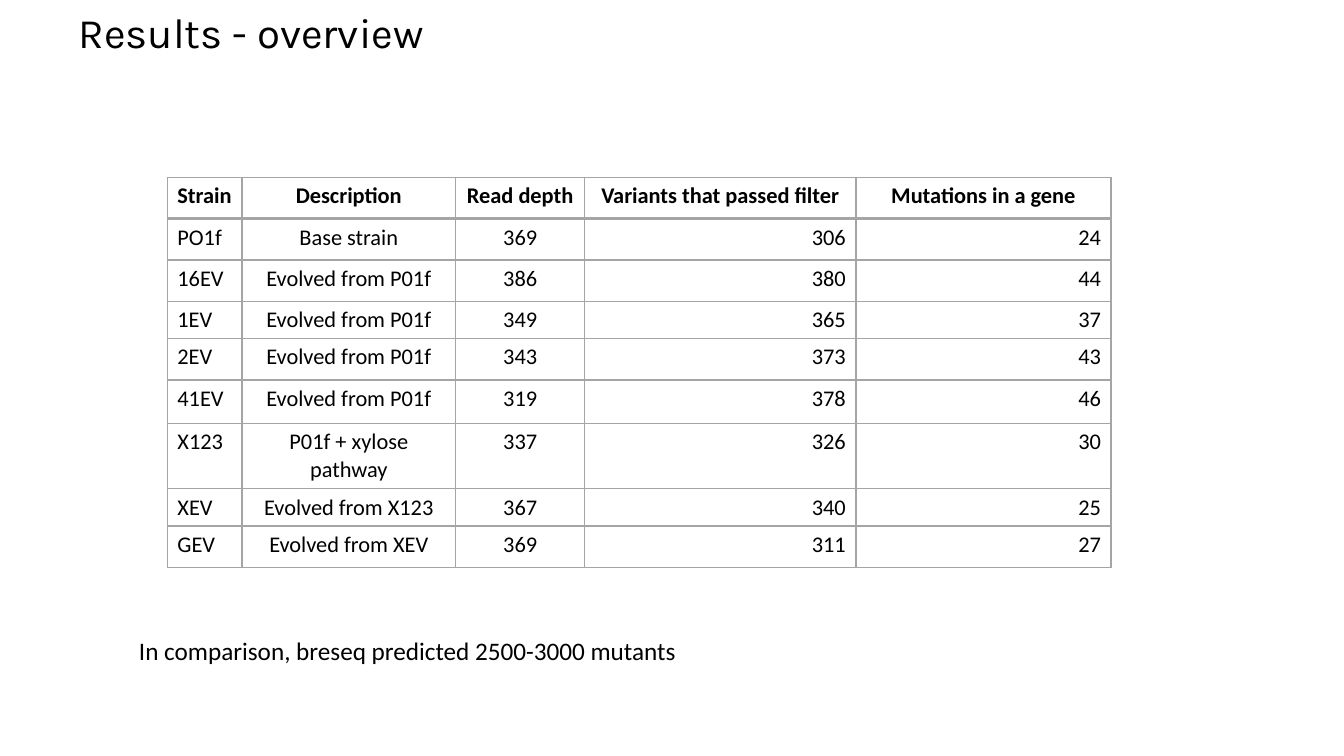
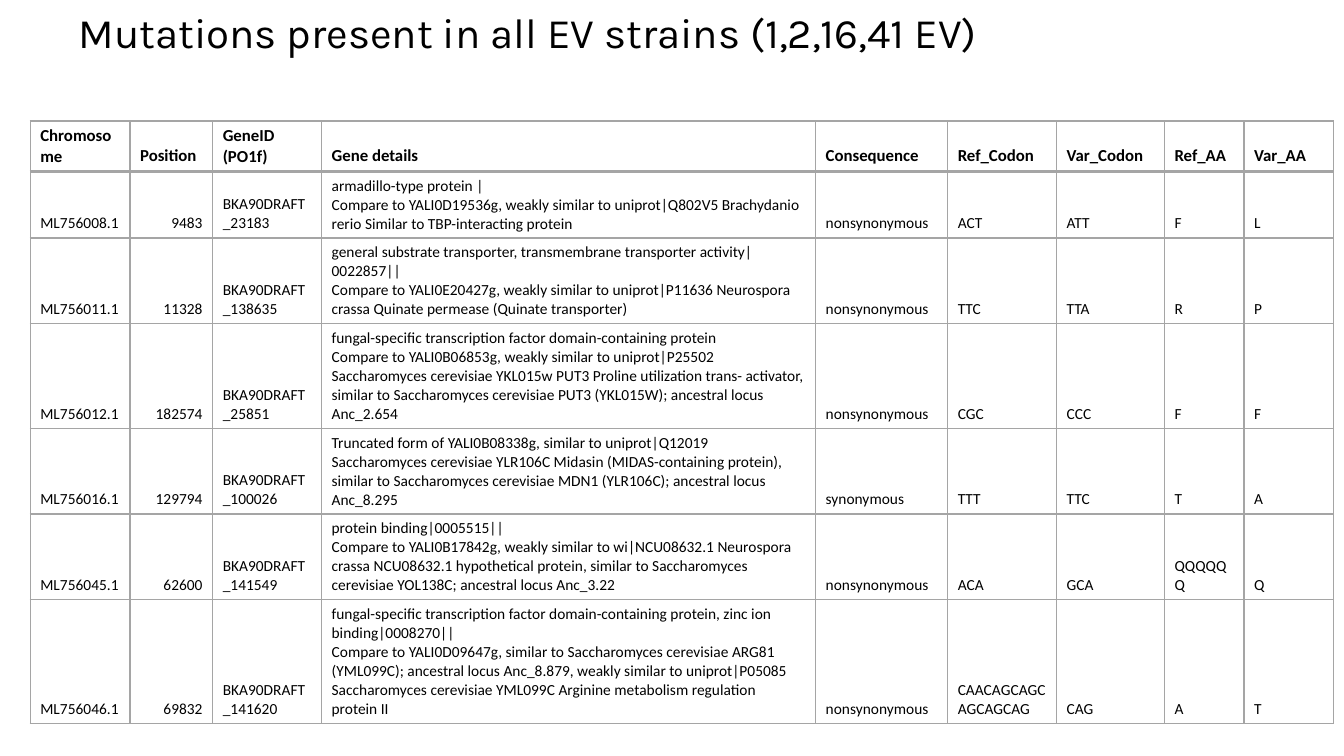
"""Build two slides of strain sequencing results, each with a titled table."""
from dataclasses import dataclass

from lxml import etree
from pptx import Presentation
from pptx import util as u
from pptx.dml.color import RGBColor
from pptx.enum import text
from pptx.oxml.ns import qn


@dataclass(frozen=True)
class Theme:
    ink: str = "000000"
    rule: str = "A5A5A5"
    title_font: str = "Karla"
    body_font: str = "Calibri"
    title_size: int = 30
    note_size: int = 18
    thin: int = 1
    thick: int = 2


THEME = Theme()
ALIGN = {"l": text.PP_ALIGN.LEFT, "c": text.PP_ALIGN.CENTER, "r": text.PP_ALIGN.RIGHT}
TOP, BOTTOM = text.MSO_ANCHOR.TOP, text.MSO_ANCHOR.BOTTOM

OVERVIEW = {
    "title": "Results - overview",
    "note": "In comparison, breseq predicted 2500-3000 mutants",
    "at": (1.66, 1.76),
    "columns": (0.74, 2.12, 1.28, 2.69, 2.53),
    "heights": (0.41, 0.41, 0.41, 0.37, 0.41, 0.43, 0.65, 0.37, 0.41),
    "header_align": "lcccc",
    "body_align": "lccrr",
    "header_size": 16,
    "body_size": 16,
    "anchor": TOP,
    "rows": [
        ("Strain", "Description", "Read depth", "Variants that passed filter",
         "Mutations in a gene"),
        ("PO1f", "Base strain", "369", "306", "24"),
        ("16EV", "Evolved from P01f", "386", "380", "44"),
        ("1EV", "Evolved from P01f", "349", "365", "37"),
        ("2EV", "Evolved from P01f", "343", "373", "43"),
        ("41EV", "Evolved from P01f", "319", "378", "46"),
        ("X123", "P01f + xylose pathway", "337", "326", "30"),
        ("XEV", "Evolved from X123", "367", "340", "25"),
        ("GEV", "Evolved from XEV", "369", "311", "27"),
    ],
}

MUTATIONS = {
    "title": "Mutations present in all EV strains (1,2,16,41 EV)",
    "note": None,
    "at": (0.3, 1.2),
    "columns": (0.99, 0.82, 1.08, 4.9, 1.31, 1.08, 1.07, 0.79, 0.89),
    "heights": (0.5, 0.66, 0.85, 1.04, 0.85, 0.85, 1.23),
    "header_align": "lllllllll",
    "body_align": "lrlllllll",
    "header_size": 12,
    "body_size": 11,
    "anchor": BOTTOM,
    "rows": [
        ("Chromosome", "Position", "GeneID (PO1f)", "Gene details", "Consequence",
         "Ref_Codon", "Var_Codon", "Ref_AA", "Var_AA"),
        ("ML756008.1", "9483", "BKA90DRAFT_23183",
         "armadillo-type protein |\n"
         "Compare to YALI0D19536g, weakly similar to uniprot|Q802V5 Brachydanio rerio "
         "Similar to TBP-interacting protein",
         "nonsynonymous", "ACT", "ATT", "F", "L"),
        ("ML756011.1", "11328", "BKA90DRAFT_138635",
         "general substrate transporter, transmembrane transporter activity|0022857||\n"
         "Compare to YALI0E20427g, weakly similar to uniprot|P11636 Neurospora crassa "
         "Quinate permease (Quinate transporter)",
         "nonsynonymous", "TTC", "TTA", "R", "P"),
        ("ML756012.1", "182574", "BKA90DRAFT_25851",
         "fungal-specific transcription factor domain-containing protein\n"
         "Compare to YALI0B06853g, weakly similar to uniprot|P25502 Saccharomyces "
         "cerevisiae YKL015w PUT3 Proline utilization trans- activator, similar to "
         "Saccharomyces cerevisiae PUT3 (YKL015W); ancestral locus Anc_2.654",
         "nonsynonymous", "CGC", "CCC", "F", "F"),
        ("ML756016.1", "129794", "BKA90DRAFT_100026",
         "Truncated form of YALI0B08338g, similar to uniprot|Q12019 Saccharomyces "
         "cerevisiae YLR106C Midasin (MIDAS-containing protein), similar to "
         "Saccharomyces cerevisiae MDN1 (YLR106C); ancestral locus Anc_8.295",
         "synonymous", "TTT", "TTC", "T", "A"),
        ("ML756045.1", "62600", "BKA90DRAFT_141549",
         "protein binding|0005515||\n"
         "Compare to YALI0B17842g, weakly similar to wi|NCU08632.1 Neurospora crassa "
         "NCU08632.1 hypothetical protein, similar to Saccharomyces cerevisiae YOL138C; "
         "ancestral locus Anc_3.22",
         "nonsynonymous", "ACA", "GCA", "QQQQQQ", "Q"),
        ("ML756046.1", "69832", "BKA90DRAFT_141620",
         "fungal-specific transcription factor domain-containing protein, zinc ion "
         "binding|0008270||\n"
         "Compare to YALI0D09647g, similar to Saccharomyces cerevisiae ARG81 (YML099C); "
         "ancestral locus Anc_8.879, weakly similar to uniprot|P05085 Saccharomyces "
         "cerevisiae YML099C Arginine metabolism regulation protein II",
         "nonsynonymous", "CAACAGCAGCAGCAGCAG", "CAG", "A", "T"),
    ],
}


def write(frame, words, font, size, bold=False, align="l", spacing=None):
    frame.text = words
    for para in frame.paragraphs:
        para.alignment = ALIGN[align]
        para.line_spacing = spacing
        para.font.name = font
        para.font.size = u.Pt(size)
        para.font.bold = bold
        para.font.color.rgb = RGBColor.from_string(THEME.ink)


def add_text(page, at, words, font, size, spacing=None):
    box = page.shapes.add_textbox(*map(u.Inches, at))
    box.text_frame.word_wrap = True
    box.text_frame.vertical_anchor = TOP
    write(box.text_frame, words, font, size, spacing=spacing)


def draw_borders(cell, bottom):
    properties = cell._tc.get_or_add_tcPr()
    widths = {"lnL": THEME.thin, "lnR": THEME.thin, "lnT": THEME.thin, "lnB": bottom}
    for side, width in widths.items():
        line = etree.SubElement(properties, qn(f"a:{side}"), w=str(u.Pt(width)))
        fill = etree.SubElement(line, qn("a:solidFill"))
        etree.SubElement(fill, qn("a:srgbClr"), val=THEME.rule)


def add_grid(page, content):
    rows, columns, heights = content["rows"], content["columns"], content["heights"]
    size = (sum(columns), sum(heights))
    table = page.shapes.add_table(
        len(rows), len(columns), *map(u.Inches, content["at"] + size)).table
    table.first_row = table.horz_banding = False
    for column, width in zip(table.columns, columns):
        column.width = u.Inches(width)
    for row, height in zip(table.rows, heights):
        row.height = u.Inches(height)
    for index, row in enumerate(rows):
        header = index == 0
        part = "header" if header else "body"
        for cell, words, align in zip(table.rows[index].cells, row, content[f"{part}_align"]):
            write(cell.text_frame, words, THEME.body_font, content[f"{part}_size"], header, align)
            cell.vertical_anchor = content["anchor"]
            draw_borders(cell, THEME.thick if header else THEME.thin)
            cell.fill.background()


def add_page(deck, content):
    page = deck.slides.add_slide(deck.slide_layouts[6])
    add_text(page, (0.68, 0.07, 11.74, 1.03), content["title"],
             THEME.title_font, THEME.title_size, spacing=0.9)
    add_grid(page, content)
    if content["note"]:
        add_text(page, (1.28, 6.25, 8.39, 0.4), content["note"],
                 THEME.body_font, THEME.note_size)


def main():
    deck = Presentation()
    deck.slide_width, deck.slide_height = u.Inches(13.33), u.Inches(7.5)
    for content in (OVERVIEW, MUTATIONS):
        add_page(deck, content)
    deck.save("out.pptx")


if __name__ == "__main__":
    main()
